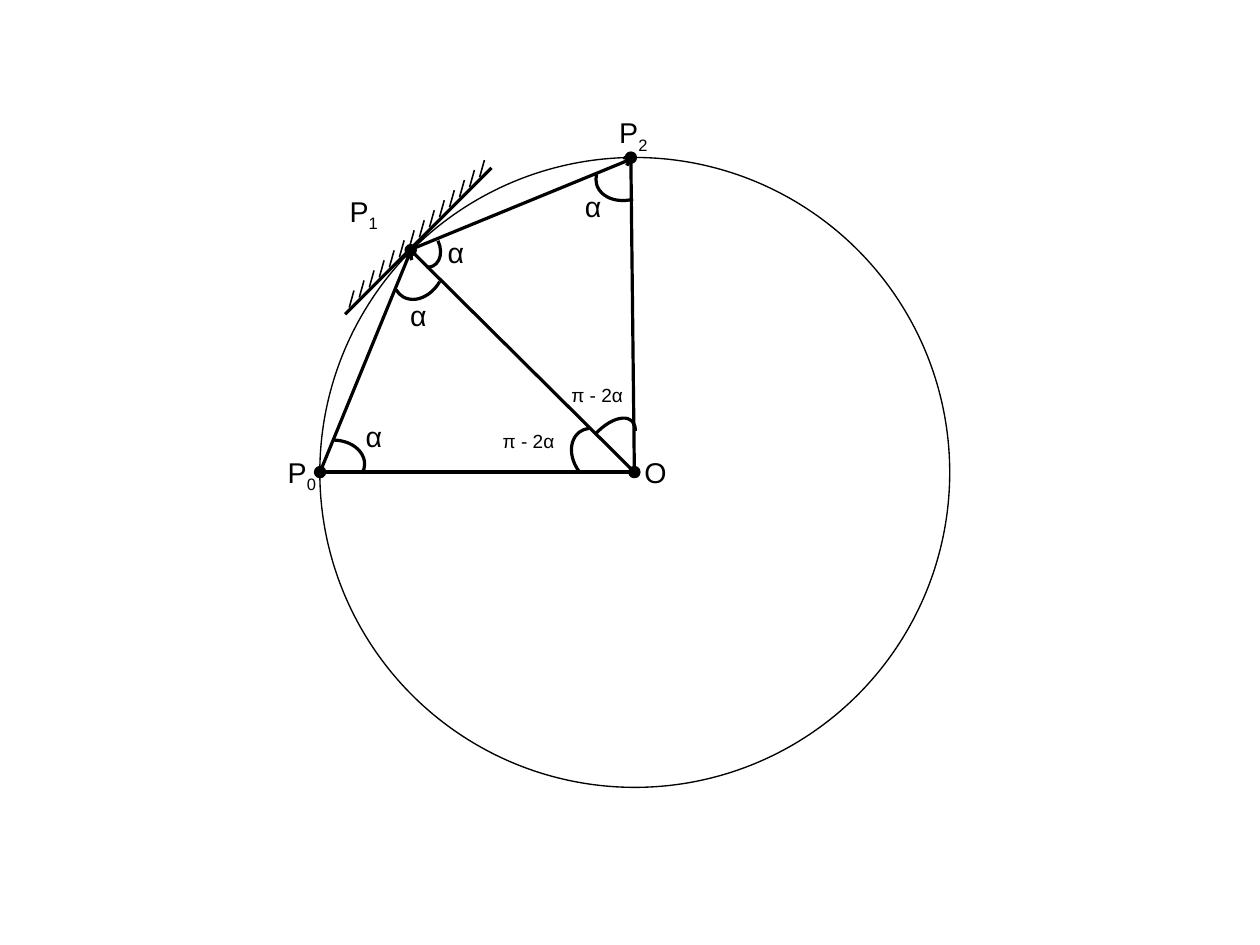
from dataclasses import dataclass
from typing import NamedTuple

from lxml.etree import SubElement
from pptx import Presentation
from pptx.dml.color import RGBColor
from pptx.enum.shapes import MSO_CONNECTOR as Connector, MSO_SHAPE as Preset
from pptx.enum.text import MSO_AUTO_SIZE as AutoSize
from pptx.oxml.ns import qn
from pptx.shapes.autoshape import Shape
from pptx.util import Pt


@dataclass(frozen=True)
class Theme:
    ink: RGBColor = RGBColor(0, 0, 0)
    font: str = "Arial"
    large: float = 18
    small: float = 12
    circle_line: float = 0.85
    hatch_line: float = 1
    bold_line: float = 2


class Point(NamedTuple):
    x: float
    y: float


class Segment(NamedTuple):
    start: Point
    end: Point
    weight: float
    arrow: bool = False


class Angle(NamedTuple):
    left: float
    top: float
    rotation: float
    width: float = 39.6
    height: float = 30.2


class PointLabel(NamedTuple):
    left: float
    top: float
    width: float
    letter: str
    index: str = ""


class AngleLabel(NamedTuple):
    left: float
    top: float
    width: float
    wording: str
    size: float


theme = Theme()
points_per_cm = 72 / 2.54
deck = Presentation()
deck.slide_width, deck.slide_height = Pt(28 * points_per_cm), Pt(21 * points_per_cm)
slide = deck.slides.add_slide(deck.slide_layouts[6])


def add_outline(preset: Preset, left: float, top: float, width: float,
                height: float, weight: float) -> Shape:
    outline = slide.shapes.add_shape(preset, Pt(left), Pt(top), Pt(width), Pt(height))
    outline.shadow.inherit = False
    outline.fill.background()
    outline.line.color.rgb = theme.ink
    outline.line.width = Pt(weight)
    return outline


def add_circle(center: Point, radius: float, weight: float) -> Shape:
    return add_outline(Preset.OVAL, center.x - radius, center.y - radius,
                       2 * radius, 2 * radius, weight)


def add_dot(center: Point) -> None:
    dot = add_circle(center, 2.9, theme.bold_line)
    dot.fill.solid()
    dot.fill.fore_color.rgb = theme.ink


def add_segment(segment: Segment) -> None:
    start, end = segment.start, segment.end
    line = slide.shapes.add_connector(Connector.STRAIGHT, Pt(start.x), Pt(start.y),
                                      Pt(end.x), Pt(end.y))
    line.line.color.rgb = theme.ink
    line.line.width = Pt(segment.weight)
    if segment.arrow:
        SubElement(line.line._get_or_add_ln(), qn("a:tailEnd")).set("type", "arrow")
    SubElement(line._element.spPr, qn("a:effectLst"))


def add_angle(angle: Angle) -> None:
    arc = add_outline(Preset.ARC, angle.left, angle.top, angle.width, angle.height,
                      theme.bold_line)
    arc.adjustments[0], arc.adjustments[1] = 162, 10.94
    arc.rotation = angle.rotation


def add_label(left: float, top: float, width: float, height: float, wording: str,
              size: float) -> Shape:
    label = slide.shapes.add_textbox(Pt(left), Pt(top), Pt(width), Pt(height))
    label.text_frame.word_wrap = True
    add_run(label, wording, size)
    return label


def add_run(label: Shape, wording: str, size: float, baseline: int = 0) -> None:
    run = label.text_frame.paragraphs[0].add_run()
    run.text = wording
    run.font.name = theme.font
    run.font.size = Pt(size)
    run.font.color.rgb = theme.ink
    if baseline:
        run._r.get_or_add_rPr().set("baseline", str(baseline))


def add_point_label(point: PointLabel) -> None:
    label = add_label(point.left, point.top, point.width, 28.8, point.letter, theme.large)
    label.text_frame.word_wrap = False
    label.text_frame.auto_size = AutoSize.SHAPE_TO_FIT_TEXT
    if point.index:
        add_run(label, point.index, theme.large, -25000)


center = Point(399.6, 297.4)
p0 = Point(201.6, 297.4)
p1 = Point(258.7, 157.6)
p2 = Point(397.4, 99.3)
p1_tip = Point(259.2, 157)
p2_tip = Point(399.6, 99.4)

rays = [
    Segment(center, p0, theme.bold_line),
    Segment(p0, p1_tip, theme.bold_line, arrow=True),
    Segment(p1_tip, p2_tip, theme.bold_line, arrow=True),
    Segment(center, p1, theme.bold_line),
    Segment(center, p2, theme.bold_line),
]
mirror = Segment(Point(217.4, 198), Point(309.6, 105.8), theme.bold_line)

hatch_count, hatch_step = 14, 6.32
hatch_feet = [Point(220 + i * hatch_step, 193.7 - i * hatch_step)
              for i in range(hatch_count)]
hatches = [Segment(foot, Point(foot.x + 3, foot.y - 10.7), theme.hatch_line)
           for foot in hatch_feet]

angles = [
    Angle(190.1, 277.2, 0),
    Angle(244.1, 154.8, 120),
    Angle(254.2, 146.2, 64.4, 25.9, 19.4),
    Angle(375.1, 95.8, 165),
    Angle(357.1, 272.9, 233.1),
    Angle(362.9, 269.3, 312.9, 41.8, 22.3),
]
point_labels = [
    PointLabel(398.9, 283, 28.8, "O"),
    PointLabel(174.2, 283, 33.1, "P", "0"),
    PointLabel(213.1, 118.8, 33.1, "P", "1"),
    PointLabel(383, 69.1, 33.1, "P", "2"),
]
alpha_corners = [Point(223.2, 260.6), Point(251.3, 184.3),
                 Point(275, 144.7), Point(361.4, 115.2)]
central_corners = [Point(309.6, 267.1), Point(352.8, 238.3)]
angle_labels = [AngleLabel(*corner, 25.9, "α", theme.large) for corner in alpha_corners]
angle_labels += [AngleLabel(*corner, 51.1, "π - 2α", theme.small)
                 for corner in central_corners]

add_circle(Point(399.9, 297.6), 198.4, theme.circle_line)
for segment in [*rays, mirror, *hatches]:
    add_segment(segment)
for vertex in (center, p0, p1, p2):
    add_dot(vertex)
for angle in angles:
    add_angle(angle)
for point_label in point_labels:
    add_point_label(point_label)
for caption in angle_labels:
    add_label(caption.left, caption.top, caption.width, 27.4, caption.wording, caption.size)

deck.save("out.pptx")
